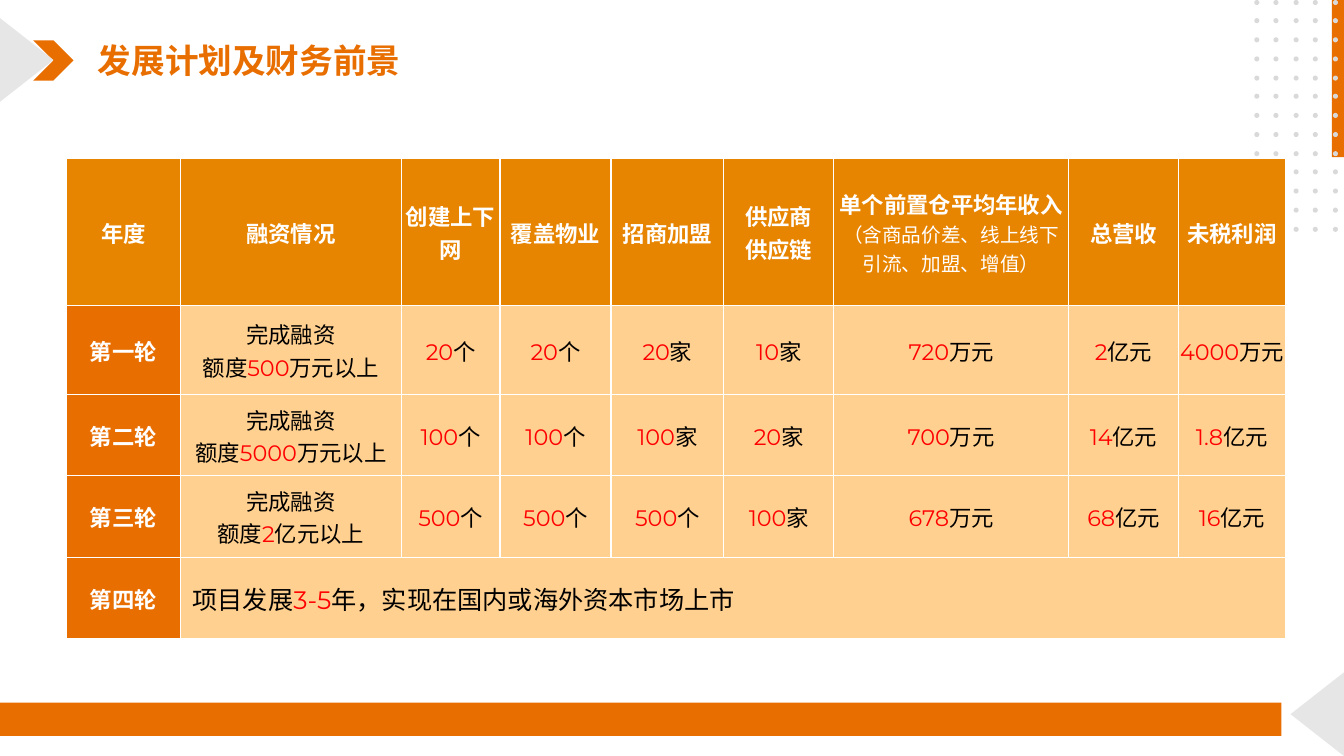
"""Build the development plan and financial outlook slide."""
import copy
import dataclasses
import itertools
import typing

import lxml.etree
import pptx
import pptx.dml.color
import pptx.enum.shapes
import pptx.enum.text
import pptx.oxml.ns
import pptx.util

PX = 9144
RGBColor = pptx.dml.color.RGBColor
ORANGE = RGBColor(0xE8, 0x6E, 0x00)
AMBER = RGBColor(0xE8, 0x85, 0x00)
PEACH = RGBColor(0xFF, 0xD0, 0x90)
LIGHT_GREY = RGBColor(0xE7, 0xE6, 0xE6)
DOT_GREY = RGBColor(0xD9, 0xD9, 0xD9)
WHITE = RGBColor(0xFF, 0xFF, 0xFF)
BLACK = RGBColor(0x00, 0x00, 0x00)
RED = RGBColor(0xFF, 0x00, 0x00)
CHINESE_FONT = "Noto Sans CJK SC"
NUMBER_FONT = "Montserrat"
SHAPE = pptx.enum.shapes.MSO_SHAPE
ALIGN = pptx.enum.text.PP_ALIGN
MIDDLE = pptx.enum.text.MSO_ANCHOR.MIDDLE


@dataclasses.dataclass(frozen=True)
class Ornament:
    """A plain filled shape, measured in px."""

    kind: SHAPE
    left: int
    top: int
    width: int
    height: int
    fill: RGBColor
    rotation: int = 0


@dataclasses.dataclass(frozen=True)
class TextStyle:
    """Size, weight and colours of a text."""

    size: int
    bold: bool
    color: RGBColor
    number_color: RGBColor = RED


TITLE_STYLE = TextStyle(24, True, ORANGE)
HEADING_STYLE = TextStyle(16, True, WHITE)
NOTE_STYLE = TextStyle(14, False, WHITE)
BODY_STYLE = TextStyle(16, False, BLACK)
GOAL_STYLE = TextStyle(18, False, BLACK)

ORNAMENTS = [
    Ornament(SHAPE.CHEVRON, 33, 40, 40, 40, ORANGE),
    Ornament(SHAPE.ISOSCELES_TRIANGLE, -15, 33, 83, 53, LIGHT_GREY, 90),
    Ornament(SHAPE.ISOSCELES_TRIANGLE, 1265, 682, 83, 53, LIGHT_GREY, 270),
    Ornament(SHAPE.RECTANGLE, 0, 697, 1271, 33, ORANGE),
    Ornament(SHAPE.RECTANGLE, 1248, 71, 158, 12, ORANGE, 90),
]
DOTS = [
    Ornament(SHAPE.OVAL, 1244 + 39 * column // 2, 75 * row // 4, 5, 5, DOT_GREY)
    for row in range(13) for column in range(5)
]
COLUMN_WIDTHS = [113, 219, 98, 110, 112, 109, 233, 109, 106]
ROW_HEIGHTS = [146, 88, 81, 81, 81]
REVENUE_COLUMN = 6
REVENUE_NOTE = "（含商品价差、线上线下引流、加盟、增值）"
ROWS = [
    ["年度", "融资情况", "创建上下网", "覆盖物业", "招商加盟", "供应商\n供应链",
     "单个前置仓平均年收入\n", "总营收", "未税利润"],
    ["第一轮", "完成融资\n额度500万元以上", "20个", "20个", "20家", "10家",
     "720万元", "2亿元", "4000万元"],
    ["第二轮", "完成融资\n额度5000万元以上", "100个", "100个", "100家", "20家",
     "700万元", "14亿元", "1.8亿元"],
    ["第三轮", "完成融资\n额度2亿元以上", "500个", "500个", "500个", "100家",
     "678万元", "68亿元", "16亿元"],
    ["第四轮", "项目发展3-5年，实现在国内或海外资本市场上市"],
]


def set_values(target: typing.Any, values: dict[str, typing.Any]) -> None:
    """Set each named attribute of the target."""
    for name, value in values.items():
        setattr(target, name, value)


def character_kind(character: str) -> str:
    """Tell numbers, line breaks and words apart."""
    if character == "\n":
        return "break"
    return "number" if character in "0123456789.-" else "word"


def write_text(para: typing.Any, text: str, style: TextStyle) -> None:
    """Add text to a paragraph, with numbers in their own font and colour."""
    for kind, characters in itertools.groupby(text, character_kind):
        if kind == "break":
            para.add_line_break()
            para._p[-1].append(copy.deepcopy(span._r.rPr))
            continue
        is_number = kind == "number"
        span = para.add_run()
        span.text = "".join(characters)
        set_values(span.font, {
            "name": NUMBER_FONT if is_number else CHINESE_FONT,
            "size": pptx.util.Pt(style.size),
            "bold": style.bold,
        })
        span.font.color.rgb = style.number_color if is_number else style.color
        east_asian = lxml.etree.SubElement(span._r.rPr, pptx.oxml.ns.qn("a:ea"))
        east_asian.set("typeface", CHINESE_FONT)


def draw_ornament(shapes: typing.Any, ornament: Ornament) -> None:
    """Draw one filled shape without outline or shadow."""
    lengths = (ornament.left, ornament.top, ornament.width, ornament.height)
    box = shapes.add_shape(ornament.kind, *(length * PX for length in lengths))
    box.rotation = ornament.rotation
    box.shadow.inherit = False
    box.fill.solid()
    box.fill.fore_color.rgb = ornament.fill
    box.line.fill.background()


def draw_title(page: typing.Any) -> None:
    """Place and fill the title placeholder."""
    title = page.shapes.title
    set_values(title, {"left": 87 * PX, "top": 35 * PX,
                       "width": 559 * PX, "height": 50 * PX})
    set_values(title.text_frame, {
        "word_wrap": True,
        "vertical_anchor": MIDDLE,
        "auto_size": pptx.enum.text.MSO_AUTO_SIZE.NONE,
    })
    para = title.text_frame.paragraphs[0]
    para.alignment = ALIGN.LEFT
    write_text(para, "发展计划及财务前景", TITLE_STYLE)


def format_cell(cell: typing.Any, fill: RGBColor) -> None:
    """Give a cell its borders, fill and margins."""
    properties = cell._tc.get_or_add_tcPr()
    for side in ("a:lnL", "a:lnR", "a:lnT", "a:lnB"):
        border = lxml.etree.SubElement(properties, pptx.oxml.ns.qn(side), w="12700")
        paint = lxml.etree.SubElement(border, pptx.oxml.ns.qn("a:solidFill"))
        lxml.etree.SubElement(paint, pptx.oxml.ns.qn("a:srgbClr"), val=str(WHITE))
    cell.fill.solid()
    cell.fill.fore_color.rgb = fill
    set_values(cell, {"margin_left": PX, "margin_right": PX, "margin_top": PX,
                      "margin_bottom": 0, "vertical_anchor": MIDDLE})


def draw_table(page: typing.Any) -> None:
    """Draw the table of financing rounds."""
    frame = page.shapes.add_table(
        len(ROW_HEIGHTS), len(COLUMN_WIDTHS), 66 * PX, 157 * PX,
        sum(COLUMN_WIDTHS) * PX, sum(ROW_HEIGHTS) * PX)
    table = frame.table
    set_values(table, {"first_row": False, "horz_banding": False})
    for column, width in zip(table.columns, COLUMN_WIDTHS):
        column.width = width * PX
    for row, height in zip(table.rows, ROW_HEIGHTS):
        row.height = height * PX
    last_row = len(ROWS) - 1
    goal = table.cell(last_row, 1)
    goal.merge(table.cell(last_row, len(COLUMN_WIDTHS) - 1))
    for row_index, texts in enumerate(ROWS):
        for column_index in range(len(COLUMN_WIDTHS)):
            fill = AMBER if row_index == 0 else PEACH if column_index else ORANGE
            format_cell(table.cell(row_index, column_index), fill)
        for column_index, text in enumerate(texts):
            is_heading = row_index == 0 or column_index == 0
            is_goal = row_index == last_row and column_index == 1
            style = HEADING_STYLE if is_heading else GOAL_STYLE if is_goal else BODY_STYLE
            para = table.cell(row_index, column_index).text_frame.paragraphs[0]
            para.alignment = ALIGN.LEFT if is_goal else ALIGN.CENTER
            write_text(para, text, style)
    goal.margin_left = 12 * PX
    write_text(table.cell(0, REVENUE_COLUMN).text_frame.paragraphs[0],
               REVENUE_NOTE, NOTE_STYLE)


def main() -> None:
    """Build and save the deck."""
    deck = pptx.Presentation()
    set_values(deck, {"slide_width": 1333 * PX, "slide_height": 750 * PX})
    page = deck.slides.add_slide(deck.slide_layouts[5])
    for ornament in ORNAMENTS:
        draw_ornament(page.shapes, ornament)
    dot_group = page.shapes.add_group_shape()
    for dot in DOTS:
        draw_ornament(dot_group.shapes, dot)
    draw_title(page)
    draw_table(page)
    deck.save("out.pptx")


if __name__ == "__main__":
    main()
